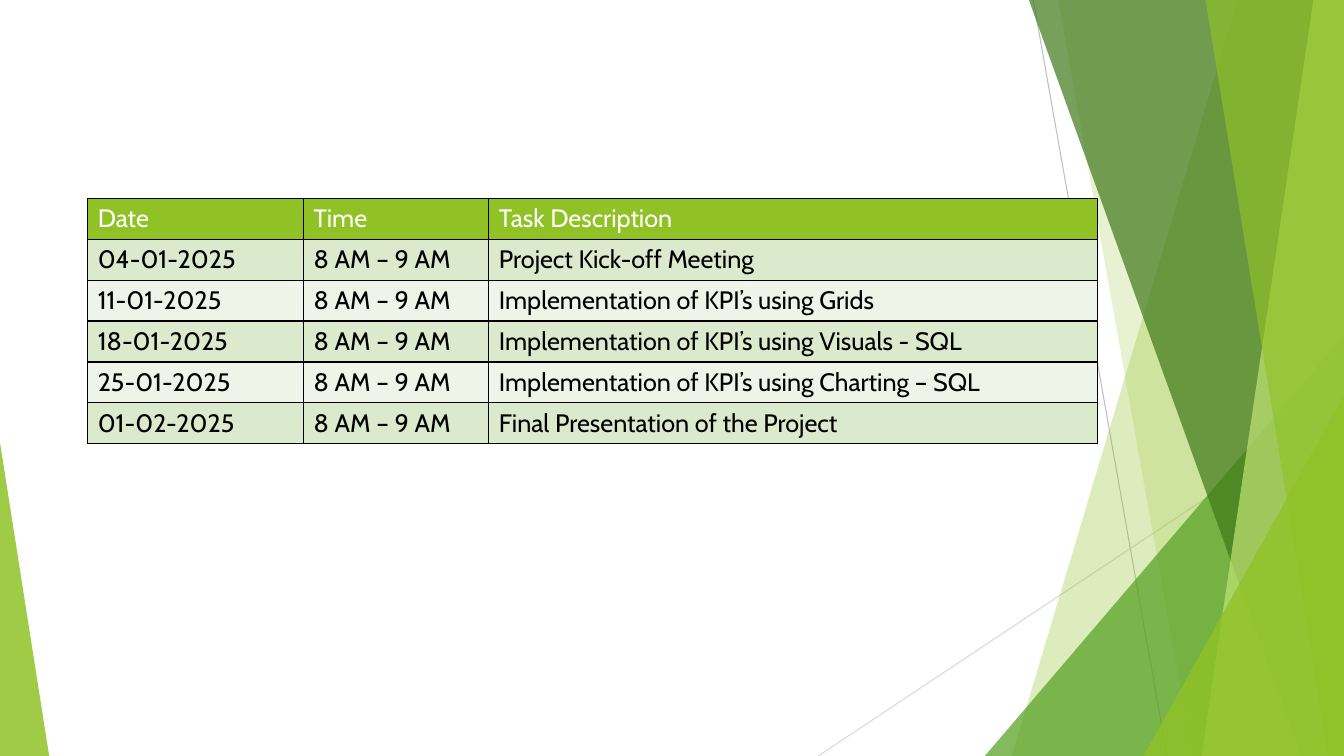
"""Build a project schedule slide with a table over green facets."""
from lxml.etree import SubElement
from pptx import Presentation
from pptx.dml.color import RGBColor
from pptx.enum.shapes import MSO_CONNECTOR, MSO_SHAPE
from pptx.oxml import parse_xml
from pptx.oxml.ns import nsdecls, qn
from pptx.util import Cm, Pt

WIDTH, HEIGHT = 33.87, 19.05
FONT = "Cabin"
LIME = RGBColor(0x90, 0xC2, 0x26)
GREEN = RGBColor(0x54, 0xA0, 0x21)
FOREST = RGBColor(0x3F, 0x78, 0x19)
PALE_LIME = RGBColor(0xC0, 0xE4, 0x74)
GRAY = RGBColor(0xBF, 0xBF, 0xBF)
LIGHT_GRAY = RGBColor(0xD9, 0xD9, 0xD9)
BAND_DARK = RGBColor(0xDB, 0xE9, 0xCD)
BAND_LIGHT = RGBColor(0xEE, 0xF4, 0xE8)
WHITE = RGBColor(0xFF, 0xFF, 0xFF)
BLACK = RGBColor(0, 0, 0)

HEADINGS = ("Date", "Time", "Task Description")
TIME = "8 AM – 9 AM"
TASKS = [
    ("04-01-2025", "Project Kick-off Meeting"),
    ("11-01-2025", "Implementation of KPI’s using Grids"),
    ("18-01-2025", "Implementation of KPI’s using Visuals - SQL"),
    ("25-01-2025", "Implementation of KPI’s using Charting – SQL"),
    ("01-02-2025", "Final Presentation of the Project"),
]
TABLE_LEFT, TABLE_TOP, ROW_HEIGHT = 2.21, 5, 1.03
COLUMN_WIDTHS = (5.44, 4.67, 15.34)

THIN_LINES = [
    ((26.04, 0), (29.41, HEIGHT), GRAY),
    ((WIDTH, 10.24), (20.62, HEIGHT), LIGHT_GRAY),
]
# Bands give top and bottom x; triangles give left, top, width and apex position.
FACETS = [
    ("band", (31.19, 25.5), LIME, 30),
    ("band", (26.67, 30.05), LIME, 20),
    ("triangle", (24.82, 8.46, 9.05, 1), GREEN, 72),
    ("band", (25.93, 32.79), FOREST, 70),
    ("band", (33.1, 30.28), PALE_LIME, 70),
    ("band", (30.38, 33.48), LIME, 65),
    ("triangle", (28.82, 9.98, 5.05, 1), LIME, 80),
    ("triangle", (0, 11.15, 1.24, 0), LIME, 85),
]


def add_thin_line(shapes, start, end, color):
    line = shapes.add_connector(
        MSO_CONNECTOR.STRAIGHT, *(Cm(value) for value in start + end))
    line.line.color.rgb = color
    line.line.width = Pt(0.75)
    SubElement(line._element.spPr, qn("a:effectLst"))


def add_band(shapes, top_x, bottom_x):
    corners = [(top_x, 0), (WIDTH, 0), (WIDTH, HEIGHT), (bottom_x, HEIGHT)]
    points = [(Cm(x), Cm(y)) for x, y in corners]
    builder = shapes.build_freeform(*points[0])
    builder.add_line_segments(points[1:], close=True)
    return builder.convert_to_shape()


def add_triangle(shapes, left, top, width, apex):
    shape = shapes.add_shape(MSO_SHAPE.ISOSCELES_TRIANGLE, Cm(left), Cm(top),
                             Cm(width), Cm(HEIGHT - top))
    shape.adjustments[0] = apex
    return shape


def paint(shape, color, opacity):
    shape.shadow.inherit = False
    shape.line.fill.background()
    shape.fill.solid()
    shape.fill.fore_color.rgb = color
    color_element = shape._element.spPr.find(qn("a:solidFill"))[0]
    SubElement(color_element, qn("a:alpha"), val=str(opacity * 1000))


def style_cell(cell, text, fill, color):
    cell.text_frame.text = text
    font = cell.text_frame.paragraphs[0].runs[0].font
    font.name, font.size, font.bold = FONT, Pt(18), False
    font.color.rgb = color
    properties = cell._tc.get_or_add_tcPr()
    for side in ("lnL", "lnR", "lnT", "lnB"):
        properties.append(parse_xml(
            f'<a:{side} {nsdecls("a")} w="{Pt(1)}"><a:solidFill>'
            f'<a:srgbClr val="{BLACK}"/></a:solidFill></a:{side}>'))
    cell.fill.solid()
    cell.fill.fore_color.rgb = fill


def add_schedule(shapes):
    rows = [HEADINGS] + [(date, TIME, task) for date, task in TASKS]
    table = shapes.add_table(
        len(rows), len(HEADINGS), Cm(TABLE_LEFT), Cm(TABLE_TOP),
        Cm(sum(COLUMN_WIDTHS)), Cm(ROW_HEIGHT * len(rows))).table
    for column, width in zip(table.columns, COLUMN_WIDTHS):
        column.width = Cm(width)
    for index, texts in enumerate(rows):
        table.rows[index].height = Cm(ROW_HEIGHT)
        band = BAND_DARK if index % 2 else BAND_LIGHT
        fill, color = (band, BLACK) if index else (LIME, WHITE)
        for cell, text in zip(table.rows[index].cells, texts):
            style_cell(cell, text, fill, color)


def main():
    presentation = Presentation()
    presentation.slide_width, presentation.slide_height = Cm(WIDTH), Cm(HEIGHT)
    shapes = presentation.slides.add_slide(presentation.slide_layouts[6]).shapes
    for thin_line in THIN_LINES:
        add_thin_line(shapes, *thin_line)
    makers = {"band": add_band, "triangle": add_triangle}
    for kind, geometry, color, opacity in FACETS:
        paint(makers[kind](shapes, *geometry), color, opacity)
    add_schedule(shapes)
    presentation.save("out.pptx")


if __name__ == "__main__":
    main()
